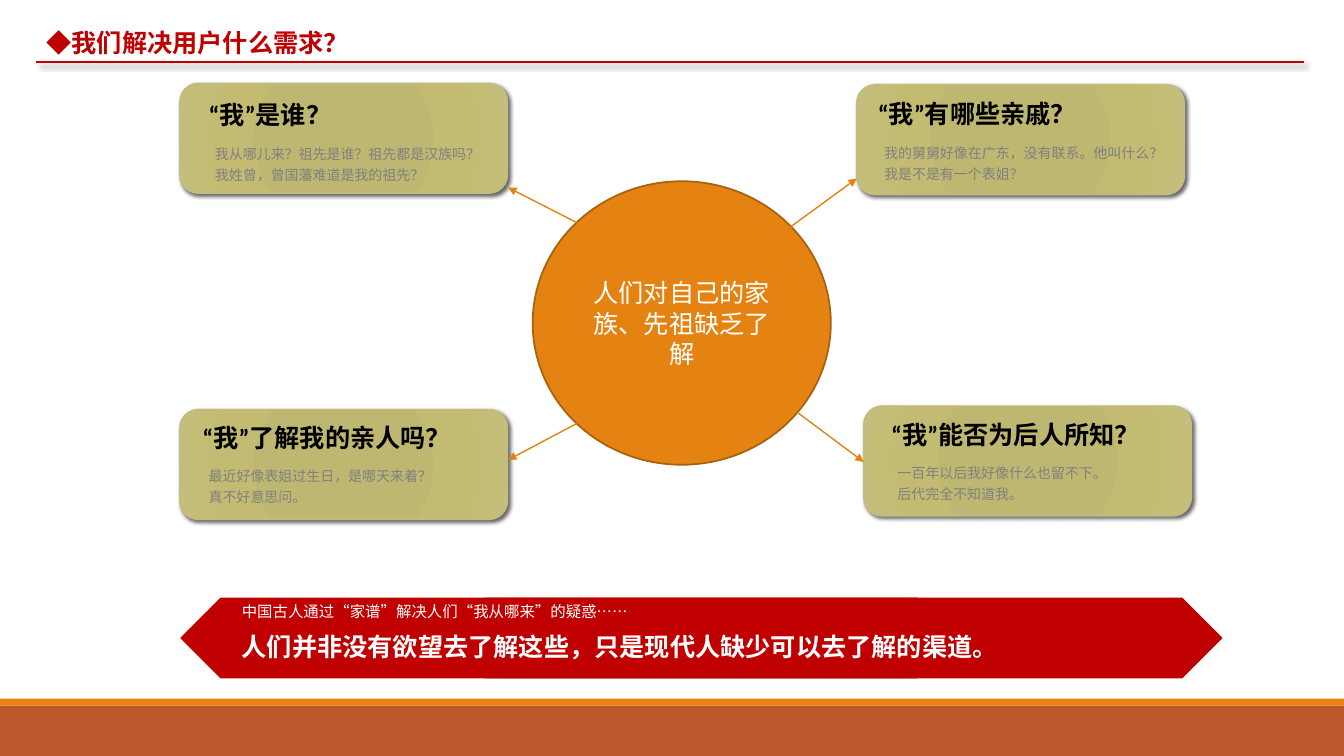
from lxml.etree import SubElement
from pptx import Presentation
from pptx.dml.color import RGBColor
from pptx.enum.lang import MSO_LANGUAGE_ID as Lang
from pptx.enum.shapes import MSO_CONNECTOR as Link, MSO_SHAPE as Kind
from pptx.enum.text import MSO_ANCHOR as Anchor, MSO_AUTO_SIZE as Fit, PP_ALIGN as Align
from pptx.oxml import parse_xml
from pptx.oxml.ns import nsdecls, qn
from pptx.util import Pt

HUES = {
    "red": "C00000", "orange": "E48312", "rust": "BD582C", "brown": "A9610D",
    "olive": "C2BC80", "white": "FFFFFF", "black": "000000", "gray": "808080",
}
SANS = "Noto Sans CJK JP"
STOPS = [(0, "BEB76E"), (34, "BEB771"), (70, "C3BB71"), (100, "C5BF7D")]


def write(frame, text, size=18, font="Calibri", hue="white", bold=False,
          align=Align.LEFT, first=True, before=0, pitch=None, indent=0):
    """Fill the first paragraph of the frame, or add one after it."""
    para = frame.paragraphs[0] if first else frame.add_paragraph()
    para.alignment = align
    para.space_before = Pt(before)
    if pitch:
        para.line_spacing = Pt(pitch)
    if indent:
        para._p.get_or_add_pPr().set("marL", str(Pt(indent)))
    run = para.add_run()
    run.text = text
    face = run.font
    face.size, face.bold, face.name = Pt(size), bold, font
    face.language_id = Lang.SIMPLIFIED_CHINESE
    face.color.rgb = RGBColor.from_string(HUES[hue])
    SubElement(run._r.rPr, qn("a:ea")).set("typeface", font)


def cast(props, blur=0, gap=0, alpha=0):
    """Give shape properties a 45 degree shadow, or none when blur is 0."""
    glow = SubElement(props, qn("a:effectLst"))
    if blur:
        glow.append(parse_xml(
            f'<a:outerShdw {nsdecls("a")} blurRad="{Pt(blur)}" dist="{Pt(gap)}" '
            f'dir="2700000" algn="tl" rotWithShape="0"><a:srgbClr val="{HUES["black"]}">'
            f'<a:alpha val="{alpha * 1000}"/></a:srgbClr></a:outerShdw>'))


deck = Presentation()
deck.slide_width, deck.slide_height = Pt(960), Pt(540)
slide = deck.slides.add_slide(deck.slide_layouts[5])
shapes = slide.shapes

# Title
title = shapes.title
title.left, title.top, title.width, title.height = Pt(26), Pt(16), Pt(300), Pt(29)
frame = title.text_frame
frame.vertical_anchor, frame.auto_size = Anchor.TOP, Fit.NONE
write(frame, "◆我们解决用户什么需求？", hue="red", bold=True)

# Footer bars, banner halves and centre circle
forms = [
    (Kind.RECTANGLE, 0, 504, 960, 36, "rust", None, 0),
    (Kind.RECTANGLE, 0, 499, 960, 5, "orange", None, 0),
    (Kind.PENTAGON, 129.5, 427.5, 526, 56.5, "red", "red", 180),
    (Kind.PENTAGON, 346.5, 427.5, 526, 56.5, "red", "red", 0),
    (Kind.OVAL, 380.5, 129.5, 213, 202.5, "orange", "brown", 0),
]
for kind, left, top, wide, high, fill, edge, turn in forms:
    form = shapes.add_shape(kind, Pt(left), Pt(top), Pt(wide), Pt(high))
    form.shadow.inherit = False
    form.rotation = turn
    form.fill.solid()
    form.fill.fore_color.rgb = RGBColor.from_string(HUES[fill])
    if edge:
        form.line.color.rgb = RGBColor.from_string(HUES[edge])
        form.line.width = Pt(1.25)
    else:
        form.line.fill.background()
frame = form.text_frame
frame.word_wrap, frame.vertical_anchor = True, Anchor.MIDDLE
write(frame, "人们对自己的家族、先祖缺乏了解", align=Align.CENTER)

# Banner text
frame = shapes.add_textbox(Pt(165.6), Pt(426.5), Pt(677.5), Pt(52)).text_frame
frame.word_wrap = True
write(frame, "中国古人通过“家谱”解决人们“我从哪来”的疑惑……", size=11, font=SANS)
write(frame, "人们并非没有欲望去了解这些，只是现代人缺少可以去了解的渠道。",
      font="Arial", bold=True, first=False, before=8)

# Question cards: card corner, text corner, heading, details
cards = [
    (128.5, 59.5, 142, 67.5, "“我”是谁？",
     ["我从哪儿来？祖先是谁？祖先都是汉族吗？", "我姓曾，曾国藩难道是我的祖先？"]),
    (612, 60.5, 620, 67, "“我”有哪些亲戚？",
     ["我的舅舅好像在广东，没有联系。他叫什么？", "我是不是有一个表姐？"]),
    (128.5, 292.5, 137.5, 298, "“我”了解我的亲人吗？",
     ["最近好像表姐过生日，是哪天来着？", "真不好意思问。"]),
    (617, 290, 629.5, 296, "“我”能否为后人所知？",
     ["一百年以后我好像什么也留不下。", "后代完全不知道我。"]),
]
marks = "".join(f'<a:gs pos="{at * 1000}"><a:srgbClr val="{hue}"/></a:gs>' for at, hue in STOPS)
for left, top, x, y, head, notes in cards:
    card = shapes.add_shape(Kind.ROUNDED_RECTANGLE, Pt(left), Pt(top), Pt(234), Pt(78.5))
    card.line.color.rgb = RGBColor.from_string(HUES["olive"])
    card.line.width = Pt(1)
    props = card._element.spPr
    props.find(qn("a:prstGeom")).addnext(parse_xml(
        f'<a:gradFill {nsdecls("a")} rotWithShape="1"><a:gsLst>{marks}</a:gsLst>'
        '<a:path path="circle"><a:fillToRect l="100000" t="100000" r="100000" b="100000"/>'
        '</a:path></a:gradFill>'))
    cast(props, blur=3, gap=2, alpha=60)
    frame = shapes.add_textbox(Pt(x), Pt(y), Pt(225), Pt(67.5)).text_frame
    frame.word_wrap = True
    write(frame, head, hue="black", bold=True)
    for i, note in enumerate(notes):
        write(frame, note, size=10, font=SANS, hue="gray", first=False,
              before=0 if i else 8, pitch=15, indent=4.5)

# Arrows from the circle to the cards, then the rule under the title
lines = [
    (412, 159, 363, 134, "orange", 1),
    (560, 165.5, 612, 127.5, "orange", 1),
    (412, 302.5, 363, 328.5, "orange", 1),
    (569.5, 294.5, 617, 330, "orange", 1),
    (26, 44.5, 931.5, 44.5, "red", 1.5),
]
for x1, y1, x2, y2, hue, width in lines:
    line = shapes.add_connector(Link.STRAIGHT, Pt(x1), Pt(y1), Pt(x2), Pt(y2))
    line.line.color.rgb = RGBColor.from_string(HUES[hue])
    line.line.width = Pt(width)
    props = line._element.spPr
    if hue == "orange":
        SubElement(props.find(qn("a:ln")), qn("a:tailEnd")).set("type", "triangle")
        cast(props)
    else:
        cast(props, blur=4, gap=3, alpha=40)

deck.save("out.pptx")
